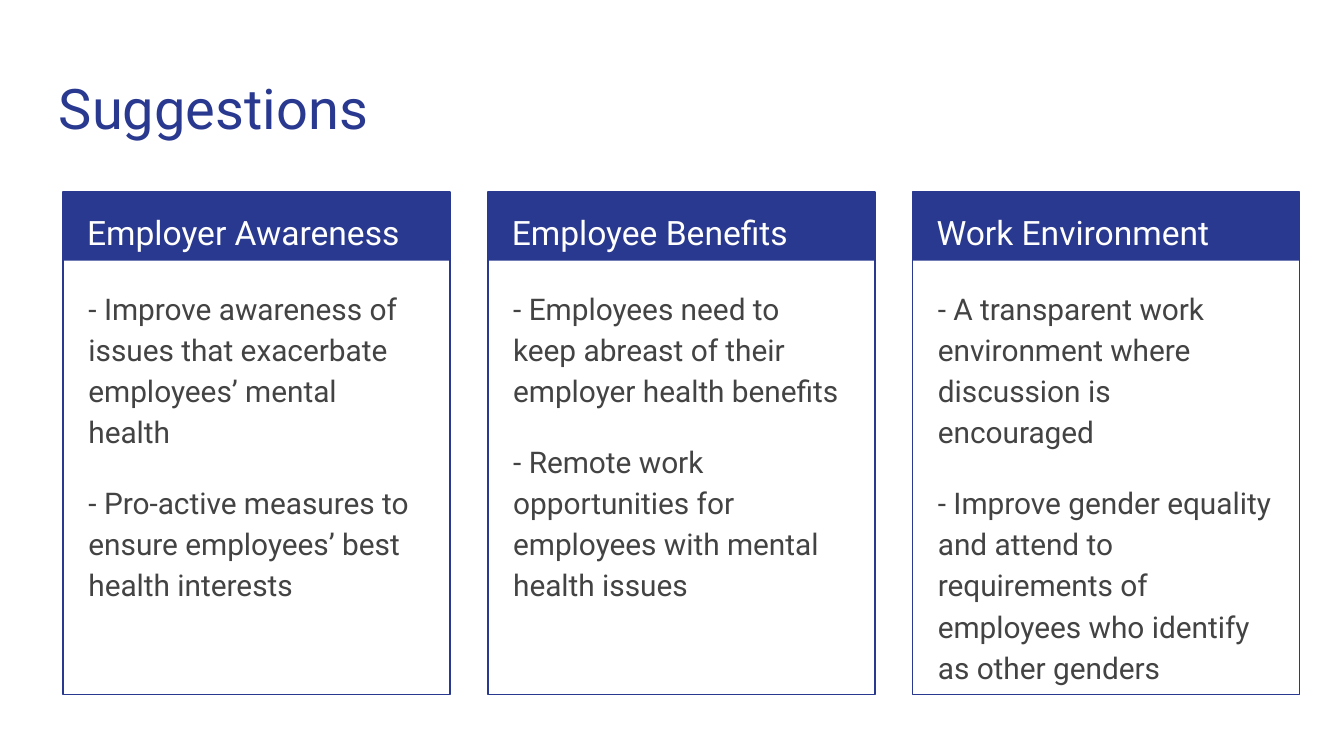
from pptx import Presentation
from pptx.dml.color import RGBColor
from pptx.enum.shapes import MSO_SHAPE
from pptx.enum.text import MSO_ANCHOR, PP_ALIGN
from pptx.util import Inches, Pt

COLORS = {"navy": "2A3990", "white": "FFFFFF", "body": "434343"}
FONT = "Roboto"
SLIDE_WIDTH = 10
SLIDE_HEIGHT = SLIDE_WIDTH * 9 / 16
CARD_LEFT, CARD_TOP, CARD_PITCH = 0.47, 1.43, 3.16
CARD_WIDTH, CARD_HEIGHT, HEADER_HEIGHT = 2.88, 3.74, 0.51

SUGGESTIONS = [
    ("Employer Awareness", [
        "- Improve awareness of issues that exacerbate employees’ mental health",
        "- Pro-active measures to ensure employees’ best health interests",
    ]),
    ("Employee Benefits", [
        "- Employees need to keep abreast of their employer health benefits",
        "- Remote work opportunities for employees with mental health issues",
    ]),
    ("Work Environment", [
        "- A transparent work environment where discussion is encouraged",
        "- Improve gender equality and attend to requirements of employees who identify as other genders",
    ]),
]


def color(name):
    return RGBColor.from_string(COLORS[name])


def add_text(slide, paragraphs, left, top, width, height, *, size, ink,
             line_spacing=1.0, gap=0):
    box = slide.shapes.add_textbox(
        Inches(left), Inches(top), Inches(width), Inches(height))
    frame = box.text_frame
    frame.word_wrap = True
    frame.vertical_anchor = MSO_ANCHOR.TOP
    frame.margin_left = frame.margin_right = Inches(0.1)
    frame.margin_top = frame.margin_bottom = Inches(0.1)
    for index, text in enumerate(paragraphs):
        paragraph = frame.paragraphs[0] if index == 0 else frame.add_paragraph()
        paragraph.alignment = PP_ALIGN.LEFT
        paragraph.line_spacing = line_spacing
        paragraph.space_before = Pt(gap if index else 0)
        paragraph.space_after = Pt(gap if index else 0)
        run = paragraph.add_run()
        run.text = text
        run.font.name = FONT
        run.font.size = Pt(size)
        run.font.color.rgb = color(ink)


def add_panel(slide, left, top, width, height, *, fill=None, line=None):
    panel = slide.shapes.add_shape(
        MSO_SHAPE.RECTANGLE,
        Inches(left), Inches(top), Inches(width), Inches(height))
    panel.shadow.inherit = False
    if fill:
        panel.fill.solid()
        panel.fill.fore_color.rgb = color(fill)
    else:
        panel.fill.background()
    if line:
        panel.line.color.rgb = color(line)
        panel.line.width = Pt(0.75)
    else:
        panel.line.fill.background()


def add_title(slide, left, top, width, height):
    add_text(slide, ["Suggestions"], left, top, width, height,
             size=30, ink="navy")


def add_card(slide, heading, points, left, top, width, height):
    add_panel(slide, left, top, width, HEADER_HEIGHT, fill="navy")
    add_panel(slide, left, top, width, height, line="navy")
    add_text(slide, [heading], left + 0.08, top, width - 0.15, 0.5,
             size=18, ink="white", line_spacing=1.15)
    add_text(slide, points, left + 0.09, top + 0.59, width - 0.18, height - 0.68,
             size=16, ink="body", line_spacing=1.15, gap=16)


def main():
    deck = Presentation()
    deck.slide_width, deck.slide_height = Inches(SLIDE_WIDTH), Inches(SLIDE_HEIGHT)
    slide = deck.slides.add_slide(deck.slide_layouts[6])
    slide.background.fill.solid()
    slide.background.fill.fore_color.rgb = color("white")
    add_title(slide, 0.34, 0.45, 9.32, 0.66)
    for column, (heading, points) in enumerate(SUGGESTIONS):
        add_card(slide, heading, points, CARD_LEFT + column * CARD_PITCH,
                 CARD_TOP, CARD_WIDTH, CARD_HEIGHT)
    deck.save("out.pptx")


if __name__ == "__main__":
    main()
